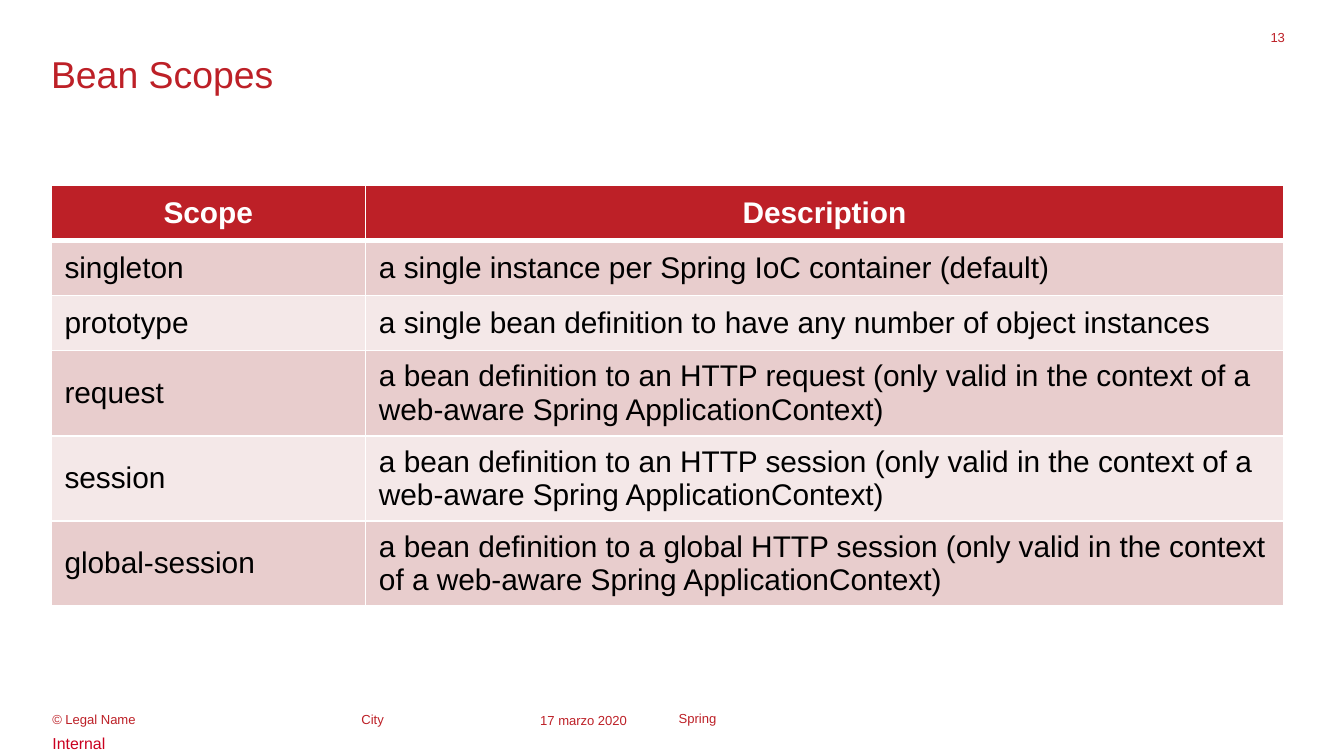
from dataclasses import dataclass

from lxml.etree import SubElement
from pptx import Presentation
from pptx.dml.color import RGBColor
from pptx.enum.text import MSO_ANCHOR as Anchor, PP_ALIGN as Align
from pptx.oxml.ns import qn
from pptx.util import Inches, Pt


@dataclass(frozen=True)
class Theme:
    font: str = "Arial"
    accent: str = "BD2027"
    label: str = "CA001F"
    ink: str = "000000"
    paper: str = "FFFFFF"
    bands: tuple = ("E8CDCD", "F4E8E8")
    title_size: float = 20
    table_size: float = 16
    label_size: float = 8.5
    small_size: float = 7


@dataclass(frozen=True)
class Area:
    left: float
    top: float
    width: float
    height: float

    def place(self, shape) -> None:
        shape.left, shape.top = Inches(self.left), Inches(self.top)
        shape.width, shape.height = Inches(self.width), Inches(self.height)


@dataclass(frozen=True)
class Note:
    text: str
    area: Area
    size: float = Theme.small_size
    color: str = Theme.accent
    align: Align = Align.LEFT
    anchor: Anchor = Anchor.TOP
    inset: tuple = (0, 0)
    spacing: float = 1


@dataclass(frozen=True)
class Scope:
    name: str
    description: str
    lines: int = 1


THEME = Theme()
WIDTH = 10
HEIGHT = WIDTH * 9 / 16
MARGIN = 0.38
CONTENT = 9.17
FOOTER_TOP, FOOTER_HEIGHT = 5.3, 0.09
COLUMNS = (2.34, CONTENT - 2.34)
ROW_HEIGHTS = {1: 0.41, 2: 0.63}
CONTEXT = "(only valid in the context of a web-aware Spring ApplicationContext)"

SCOPES = (
    Scope("Scope", "Description"),
    Scope("singleton", "a single instance per Spring IoC container (default)"),
    Scope("prototype", "a single bean definition to have any number of object instances"),
    Scope("request", f"a bean definition to an HTTP request {CONTEXT}", 2),
    Scope("session", f"a bean definition to an HTTP session {CONTEXT}", 2),
    Scope("global-session", f"a bean definition to a global HTTP session {CONTEXT}", 2),
)


def footer(left: float, width: float) -> Area:
    return Area(left, FOOTER_TOP, width, FOOTER_HEIGHT)


NOTES = (
    Note("© Legal Name", footer(MARGIN, 2.16), inset=(0.01, 0), spacing=0.96),
    Note("City", footer(2.68, 1.23), inset=(0.01, 0), spacing=0.96),
    Note("Internal", Area(0, 5.41, WIDTH, 0.24), THEME.label_size, THEME.label,
         inset=(0.39, 0.05)),
    Note("13", Area(9.34, 0.22, 0.22, 0.15), align=Align.RIGHT),
    Note("17 marzo 2020", footer(4.02, 0.87)),
    Note("Spring", footer(5.05, 3.17), anchor=Anchor.MIDDLE),
)


def format_text(frame, size: float, color: str, align: Align = Align.LEFT,
                bold: bool = False, spacing: float = 1) -> None:
    for para in frame.paragraphs:
        para.alignment = align
        para.line_spacing = spacing
        for span in para.runs:
            span.font.name = THEME.font
            span.font.size = Pt(size)
            span.font.bold = bold
            span.font.color.rgb = RGBColor.from_string(color)


def set_insets(frame, left: float, top: float) -> None:
    frame.margin_left, frame.margin_top = Inches(left), Inches(top)
    frame.margin_right = frame.margin_bottom = 0


def add_title(page, text: str) -> None:
    title = page.shapes.title
    Area(MARGIN, MARGIN, CONTENT, 0.51).place(title)
    frame = title.text_frame
    frame.text = text
    frame.vertical_anchor = Anchor.TOP
    set_insets(frame, 0, 0)
    format_text(frame, THEME.title_size, THEME.accent)


def add_note(page, note: Note) -> None:
    box = page.shapes.add_textbox(0, 0, 0, 0)
    note.area.place(box)
    frame = box.text_frame
    frame.word_wrap = True
    frame.text = note.text
    frame.vertical_anchor = note.anchor
    set_insets(frame, *note.inset)
    format_text(frame, note.size, note.color, note.align, spacing=note.spacing)


def set_borders(cell, top: float, bottom: float) -> None:
    properties = cell._tc.get_or_add_tcPr()
    sides = (("a:lnL", 1), ("a:lnR", 1), ("a:lnT", top), ("a:lnB", bottom))
    for index, (side, width) in enumerate(sides):
        line = SubElement(properties, qn(side), w=str(Pt(width)))
        fill = SubElement(line, qn("a:solidFill"))
        SubElement(fill, qn("a:srgbClr"), val=THEME.paper)
        properties.insert(index, line)


def add_scope_table(page, scopes: tuple) -> None:
    heights = [ROW_HEIGHTS[scope.lines] for scope in scopes]
    table = page.shapes.add_table(
        len(scopes), len(COLUMNS), Inches(MARGIN), Inches(1.38),
        Inches(CONTENT), Inches(sum(heights))).table
    for column, width in zip(table.columns, COLUMNS):
        column.width = Inches(width)
    for index, (scope, height) in enumerate(zip(scopes, heights)):
        table.rows[index].height = Inches(height)
        header = index == 0
        fill = THEME.accent if header else THEME.bands[(index - 1) % 2]
        for cell, text in zip(table.rows[index].cells, (scope.name, scope.description)):
            cell.text_frame.text = text
            cell.vertical_anchor = Anchor.MIDDLE
            cell.fill.solid()
            cell.fill.fore_color.rgb = RGBColor.from_string(fill)
            set_borders(cell, top=1, bottom=3 if header else 1)
            format_text(cell.text_frame, THEME.table_size,
                        THEME.paper if header else THEME.ink,
                        Align.CENTER if header else Align.LEFT, header)


def main() -> None:
    deck = Presentation()
    deck.slide_width, deck.slide_height = Inches(WIDTH), Inches(HEIGHT)
    page = deck.slides.add_slide(deck.slide_layouts.get_by_name("Title Only"))
    for note in NOTES:
        add_note(page, note)
    add_scope_table(page, SCOPES)
    add_title(page, "Bean Scopes")
    deck.save("out.pptx")


if __name__ == "__main__":
    main()
